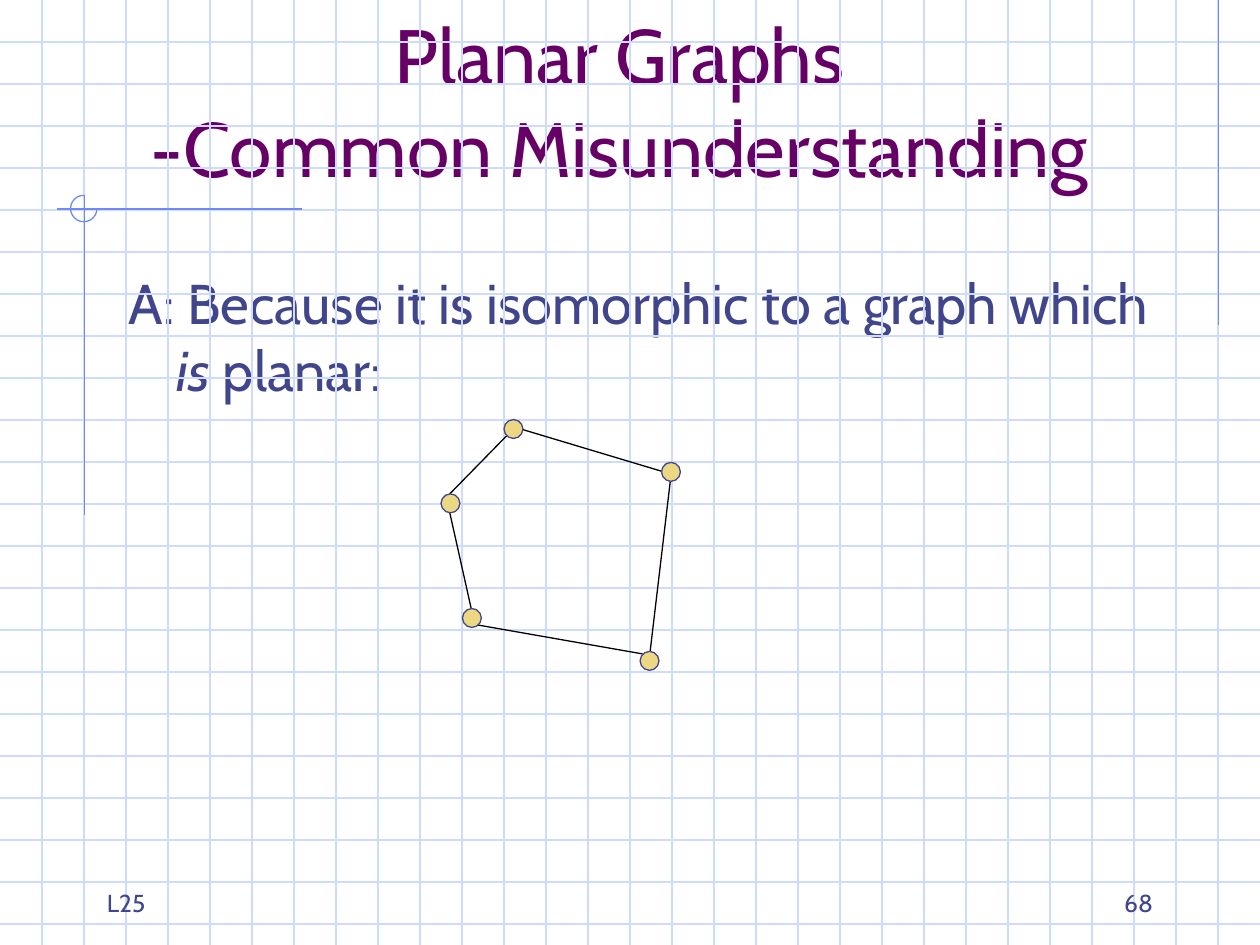
from lxml.etree import SubElement
from pptx import Presentation
from pptx.dml.color import RGBColor
from pptx.enum.shapes import MSO_CONNECTOR, MSO_SHAPE
from pptx.enum.text import MSO_ANCHOR, MSO_AUTO_SIZE, PP_ALIGN
from pptx.oxml.ns import qn
from pptx.util import Inches, Pt

TITLE = "Planar Graphs\v-Common Misunderstanding"
BODY = [("A: Because it is isomorphic to a graph which ", False),
        ("is", True), (" planar:", False)]
FOOT = [("L25", 0.75, PP_ALIGN.LEFT), ("68", 7.17, PP_ALIGN.RIGHT)]
FONT = "Cabin"
GRID, RULE, INK, PLUM, GOLD, BLACK = (
    "CFDBFD", "6F89F7", "40458C", "660066", "ECD882", "000000")
WIDE, HIGH, STEP, DOT = 10, 7.5, 1 / 3, 0.15
RULES = [(9.67, 0, 9.67, 2.58), (2.4, 1.66, 0.45, 1.66),
         (0.67, 1.55, 0.67, 4.09)]
NODES = [(3.67, 4.83), (3.5, 3.92), (4, 3.33), (5.08, 5.17), (5.25, 3.67)]
EDGES = [(3.74, 4.83, 3.57, 4.07), (4.02, 3.46, 3.57, 3.92),
         (5.1, 5.19, 3.79, 4.96), (5.25, 3.74, 4.15, 3.41),
         (5.32, 3.82, 5.16, 5.17)]


def paint(item, color):
    item.rgb = RGBColor.from_string(color)


def stroke(shape, color):
    paint(shape.line.color, color)
    shape.line.width = Pt(0.75)


def link(slide, ends, color):
    line = slide.shapes.add_connector(
        MSO_CONNECTOR.STRAIGHT, *[Inches(v) for v in ends])
    stroke(line, color)
    SubElement(line._element.spPr, qn("a:effectLst"))


def mark(slide, kind, x, y, size, color):
    shape = slide.shapes.add_shape(
        kind, Inches(x), Inches(y), Inches(size), Inches(size))
    shape.shadow.inherit = False
    stroke(shape, color)
    return shape


def place(shape, x, y, w, h, anchor):
    shape.left, shape.top = Inches(x), Inches(y)
    shape.width, shape.height = Inches(w), Inches(h)
    frame = shape.text_frame
    frame.word_wrap = True
    frame.auto_size = MSO_AUTO_SIZE.NONE
    frame.vertical_anchor = anchor
    return frame.paragraphs[0]


def style(para, size, color, align):
    para.alignment = align
    para.space_before = Pt(0)
    for run in para.runs:
        run.font.name = FONT
        run.font.size = Pt(size)
        paint(run.font.color, color)


def main():
    deck = Presentation()
    deck.slide_width, deck.slide_height = Inches(WIDE), Inches(HIGH)
    slide = deck.slides.add_slide(deck.slide_layouts[1])

    for n in range(1, 23):
        link(slide, (0, n * STEP, WIDE, n * STEP), GRID)
    for n in range(1, 30):
        link(slide, (n * STEP, 0, n * STEP, HIGH), GRID)
    for ends in RULES:
        link(slide, ends, RULE)
    arc = mark(slide, MSO_SHAPE.ARC, 0.56, 1.55, 0.21, RULE)
    arc.fill.background()
    arc.adjustments[0], arc.adjustments[1] = 0, 162

    title = place(slide.shapes.title, 0.67, 0.33, 8.5, 1.25,
                  MSO_ANCHOR.BOTTOM)
    title.text = TITLE
    style(title, 44, PLUM, PP_ALIGN.CENTER)

    body = place(slide.placeholders[1], 0.92, 2.08, 8.5, 4.5, MSO_ANCHOR.TOP)
    props = body._p.get_or_add_pPr()
    props.set("marL", str(Inches(0.38)))
    props.set("indent", str(Inches(-0.38)))
    SubElement(props, qn("a:buNone"))
    for text, slant in BODY:
        run = body.add_run()
        run.text = text
        run.font.italic = slant
    style(body, 32, INK, PP_ALIGN.LEFT)

    for text, x, align in FOOT:
        box = slide.shapes.add_textbox(0, 0, 0, 0)
        para = place(box, x, 6.83, 2.08, 0.5, MSO_ANCHOR.BOTTOM)
        para.text = text
        style(para, 14, INK, align)

    for ends in EDGES:
        link(slide, ends, BLACK)
    for x, y in NODES:
        node = mark(slide, MSO_SHAPE.OVAL, x, y, DOT, INK)
        node.fill.solid()
        paint(node.fill.fore_color, GOLD)

    deck.save("out.pptx")


if __name__ == "__main__":
    main()
